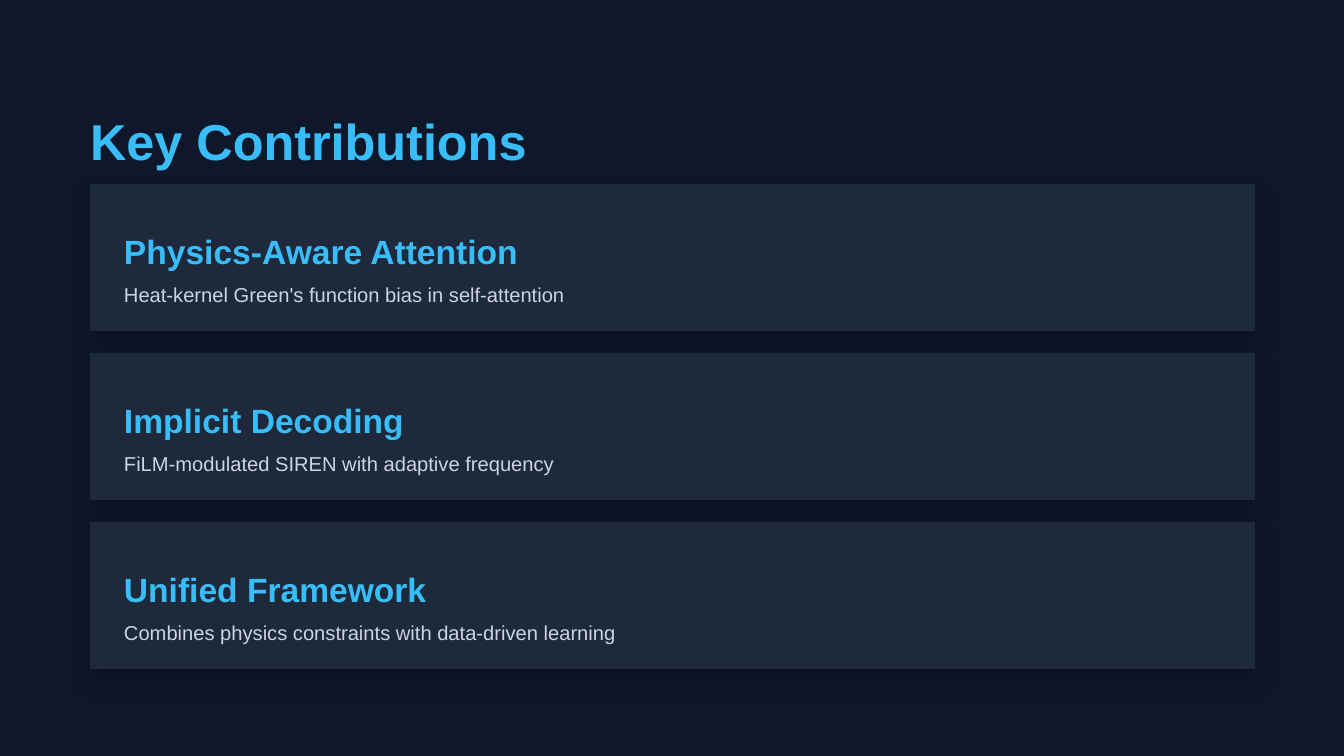
from lxml import etree
from pptx import Presentation
from pptx.dml.color import RGBColor
from pptx.enum.shapes import MSO_SHAPE
from pptx.enum.text import MSO_ANCHOR, MSO_AUTO_SIZE, PP_ALIGN
from pptx.oxml.ns import qn
from pptx.util import Emu, Pt

RECTANGLE = MSO_SHAPE.RECTANGLE
TOP = MSO_ANCHOR.TOP
NO_AUTOFIT = MSO_AUTO_SIZE.NONE
LEFT = PP_ALIGN.LEFT

TITLE = "Key Contributions"
CONTRIBUTIONS = [
    ("Physics-Aware Attention", "Heat-kernel Green's function bias in self-attention"),
    ("Implicit Decoding", "FiLM-modulated SIREN with adaptive frequency"),
    ("Unified Framework", "Combines physics constraints with data-driven learning"),
]

BACKGROUND = "0F172A"
CARD = "1E293B"
ACCENT = "38BDF8"
MUTED = "CBD5E1"
SHADOW = "000000"
FONT = "Arial"

PX_PER_INCH = 134.4
SLIDE_W, SLIDE_H = 1344, 756
MARGIN = 90
CARD_TOP, CARD_W, CARD_H, CARD_GAP = 184, 1165, 147, 22
PADDING = 34
TEXT_W = 1120
DETAIL_OFFSET = 85


def px(length):
    return Emu(round(length * 914400 / PX_PER_INCH))


def color(hex_string):
    return RGBColor.from_string(hex_string)


def place(shape, left, top, width, height):
    shape.left, shape.top = px(left), px(top)
    shape.width, shape.height = px(width), px(height)


def write(shape, text, *, size, line, fill, bold=False):
    frame = shape.text_frame
    frame.word_wrap = True
    frame.auto_size = NO_AUTOFIT
    frame.vertical_anchor = TOP
    frame.margin_left = frame.margin_top = frame.margin_right = frame.margin_bottom = 0
    paragraph = frame.paragraphs[0]
    paragraph.alignment = LEFT
    paragraph.line_spacing = Pt(line)
    paragraph.space_before = Pt(0)
    run = paragraph.add_run()
    run.text = text
    run.font.name = FONT
    run.font.size = Pt(size)
    run.font.bold = bold
    run.font.color.rgb = color(fill)


def add_text(slide, text, left, top, width, height, **style):
    box = slide.shapes.add_textbox(px(left), px(top), px(width), px(height))
    write(box, text, **style)


def add_card(slide, top):
    card = slide.shapes.add_shape(RECTANGLE, px(MARGIN), px(top), px(CARD_W), px(CARD_H))
    card.fill.solid()
    card.fill.fore_color.rgb = color(CARD)
    card.line.fill.background()
    effects = etree.SubElement(card._element.spPr, qn("a:effectLst"))
    shadow = etree.SubElement(
        effects, qn("a:outerShdw"),
        blurRad=str(Pt(12)), dist=str(Pt(6)), dir="5400000", algn="bl", rotWithShape="0",
    )
    tint = etree.SubElement(shadow, qn("a:srgbClr"), val=SHADOW)
    etree.SubElement(tint, qn("a:alpha"), val="20000")


def main():
    deck = Presentation()
    deck.slide_width, deck.slide_height = px(SLIDE_W), px(SLIDE_H)
    slide = deck.slides.add_slide(deck.slide_layouts[5])
    slide.background.fill.solid()
    slide.background.fill.fore_color.rgb = color(BACKGROUND)

    title = slide.shapes.title
    place(title, MARGIN, MARGIN, 1188, 60)
    write(title, TITLE, size=27, line=43.2, fill=ACCENT, bold=True)

    text_left = MARGIN + PADDING
    for index, (heading, detail) in enumerate(CONTRIBUTIONS):
        top = CARD_TOP + index * (CARD_H + CARD_GAP)
        add_card(slide, top)
        add_text(slide, heading, text_left, top + PADDING, TEXT_W, 40,
                 size=18, line=28.8, fill=ACCENT, bold=True)
        add_text(slide, detail, text_left, top + DETAIL_OFFSET, TEXT_W, 28,
                 size=10.8, line=20.2, fill=MUTED)

    deck.save("out.pptx")


if __name__ == "__main__":
    main()
